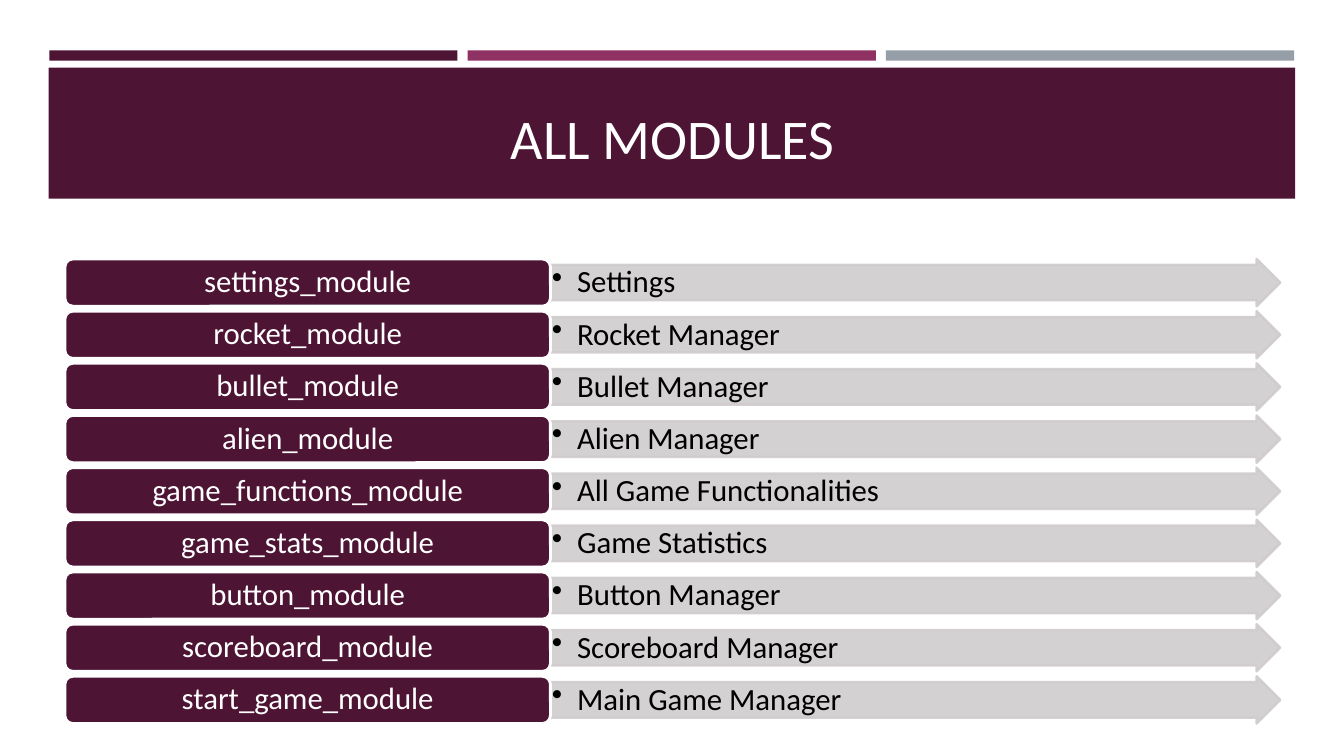
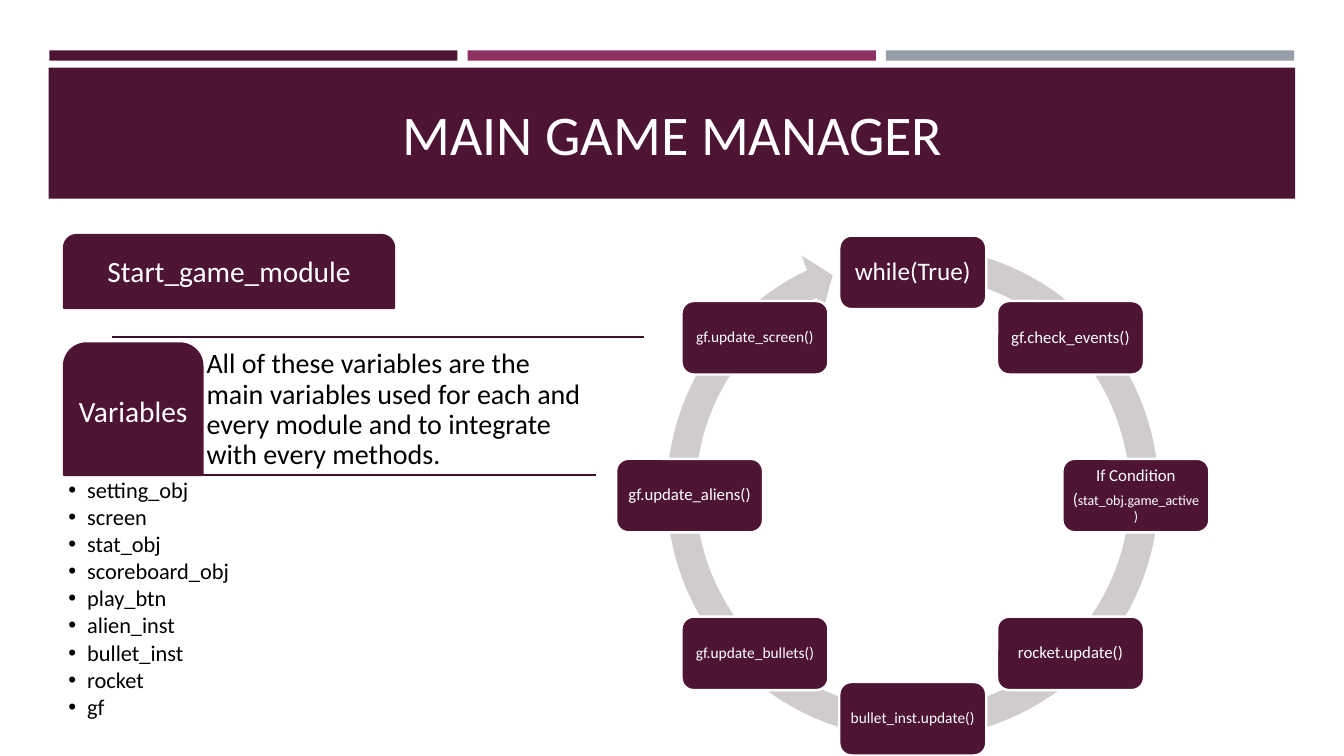
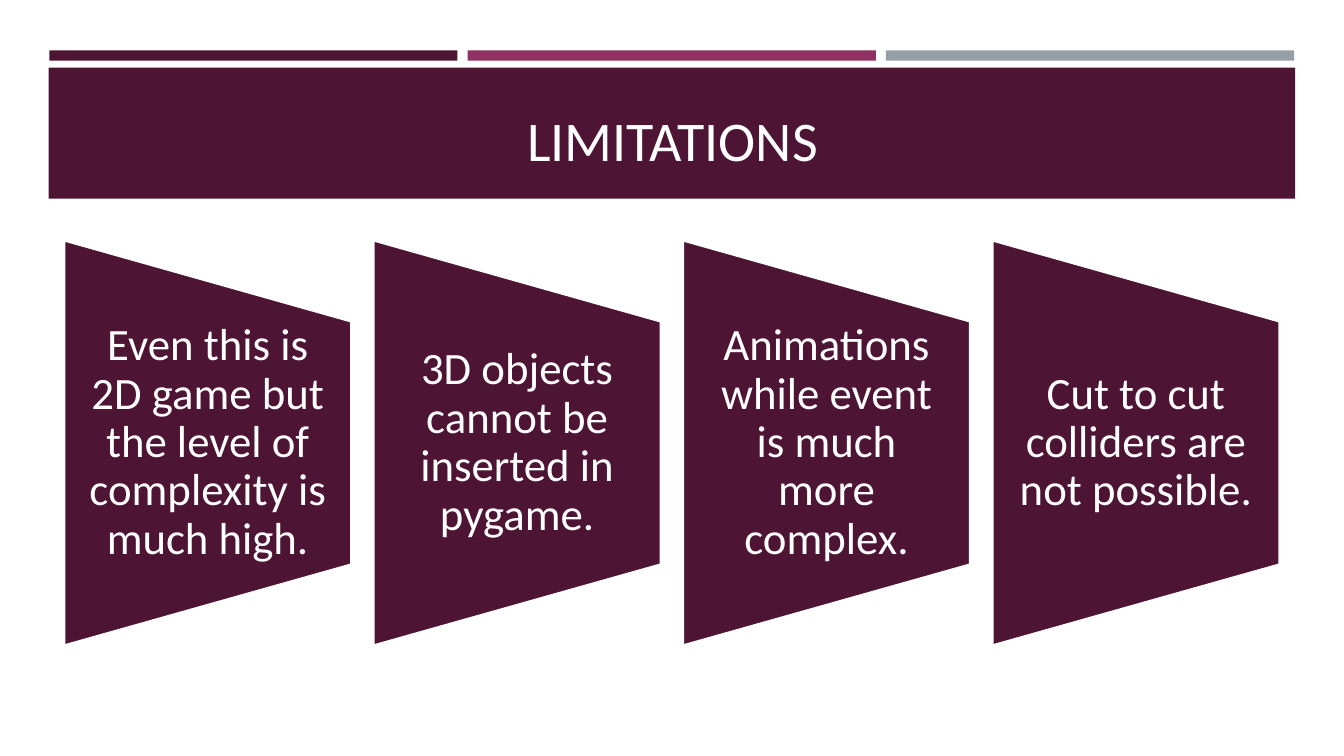
import math
from dataclasses import dataclass

import pptx
import pptx.dml.color
import pptx.enum.shapes
import pptx.enum.text
import pptx.oxml.ns
import pptx.util
from lxml import etree

Pt = pptx.util.Pt
qn = pptx.oxml.ns.qn
SHAPE = pptx.enum.shapes.MSO_SHAPE
ALIGN = pptx.enum.text.PP_ALIGN
ANCHOR = pptx.enum.text.MSO_ANCHOR


@dataclass(frozen=True)
class Theme:
    plum: str = "4D1434"
    magenta: str = "903163"
    slate: str = "969FA7"
    silver: str = "D0CCCE"
    rule: str = "3E102A"
    white: str = "FFFFFF"
    black: str = "000000"
    font: str = "Calibri"
    title: float = 40
    limitation: float = 32
    module: float = 22
    heading: float = 21
    summary: float = 20
    variable: float = 16
    outline: float = 1.75


THEME = Theme()

TITLES = [("ALL MODULES", 60.5), ("MAIN GAME MANAGER", 57.6), ("LIMITATIONS", 61.9)]

MODULES = [
    ("settings_module", "Settings"),
    ("rocket_module", "Rocket Manager"),
    ("bullet_module", "Bullet Manager"),
    ("alien_module", "Alien Manager"),
    ("game_functions_module", "All Game Functionalities"),
    ("game_stats_module", "Game Statistics"),
    ("button_module", "Button Manager"),
    ("scoreboard_module", "Scoreboard Manager"),
    ("start_game_module", "Main Game Manager"),
]

SUMMARY = ("All of these variables are the main variables used for each and every "
           "module and to integrate with every methods.")
VARIABLES = ["setting_obj", "screen", "stat_obj", "scoreboard_obj", "play_btn",
             "alien_inst", "bullet_inst", "rocket", "gf"]
GAME_LOOP = [
    (["while(True)"], 18),
    (["gf.check_events()"], 12),
    (["If Condition", [("(", 12), ("stat_obj.game_active)", 10)]], 12),
    (["rocket.update()"], 12),
    (["bullet_inst.update()"], 11),
    (["gf.update_bullets()"], 11),
    (["gf.update_aliens()"], 12),
    (["gf.update_screen()"], 11),
]
LOOP_ARROW_PERCENTS = [5.54, 330.68, 14654.4, 16871.3, 5.76]

LIMITATIONS = [
    "Even this is 2D game but the level of complexity is much high.",
    "3D objects cannot be inserted in pygame.",
    "Animations while event is much more complex.",
    "Cut to cut colliders are not possible.",
]


def rgb(color):
    return pptx.dml.color.RGBColor.from_string(color)


def points(*lengths):
    return [Pt(length) for length in lengths]


def write(frame, paragraphs, *, size, color=THEME.white, align=ALIGN.CENTER,
          anchor=ANCHOR.MIDDLE, inset=(3.6, 3.6), spacing=0.9, after=0, bullet=0):
    frame.word_wrap = True
    frame.auto_size = pptx.enum.text.MSO_AUTO_SIZE.NONE
    frame.vertical_anchor = anchor
    frame.margin_left = frame.margin_right = Pt(inset[0])
    frame.margin_top = frame.margin_bottom = Pt(inset[1])
    for index, content in enumerate(paragraphs):
        paragraph = frame.add_paragraph() if index else frame.paragraphs[0]
        if bullet:
            properties = paragraph._p.get_or_add_pPr()
            properties.set("marL", str(Pt(bullet)))
            properties.set("indent", str(-Pt(bullet)))
            etree.SubElement(properties, qn("a:buChar")).set("char", "•")
        paragraph.alignment = align
        paragraph.line_spacing = spacing
        paragraph.space_before = Pt(0)
        paragraph.space_after = Pt(after)
        runs = [(content, size)] if isinstance(content, str) else content
        for words, run_size in runs:
            run = paragraph.add_run()
            run.text = words
            run.font.name = THEME.font
            run.font.size = Pt(run_size)
            run.font.color.rgb = rgb(color)


def block(slide, preset, bounds, *, fill=THEME.plum, line=None, width=THEME.outline,
          adjustments=(), opacity=100):
    shape = slide.shapes.add_shape(preset, *points(*bounds))
    shape.shadow.inherit = False
    shape.fill.solid()
    shape.fill.fore_color.rgb = rgb(fill)
    if line:
        shape.line.color.rgb = rgb(line)
        shape.line.width = Pt(width)
    else:
        shape.line.fill.background()
    for index, value in enumerate(adjustments):
        shape.adjustments[index] = value
    if opacity < 100:
        for color in list(shape.element.spPr.iter(qn("a:srgbClr"))):
            etree.SubElement(color, qn("a:alpha")).set("val", str(opacity * 1000))
    return shape


def rule(slide, left, right, y):
    connector = slide.shapes.add_connector(
        pptx.enum.shapes.MSO_CONNECTOR.STRAIGHT, *points(left, y, right, y))
    connector.line.color.rgb = rgb(THEME.rule)
    connector.line.width = Pt(THEME.outline)
    etree.SubElement(connector.element.spPr, qn("a:effectLst"))


def add_master_bands(master, slide):
    bands = [block(slide, SHAPE.RECTANGLE, (35.2 + 298.8 * column, 36, 291.6, 7.4), fill=color)
             for column, color in enumerate([THEME.plum, THEME.magenta, THEME.slate])]
    bands.append(block(slide, SHAPE.RECTANGLE, (34.8, 48.3, 890.4, 93.6)))
    for position, band in enumerate(bands, start=2):
        master.shapes.element.insert(position, band.element)


def place(shape, left, top, width, height):
    shape.left, shape.top, shape.width, shape.height = points(left, top, width, height)


def add_title(slide, words, top):
    place(slide.shapes.title, 46.4, top, 868, 65.5)
    write(slide.shapes.title.text_frame, [words], size=THEME.title, anchor=ANCHOR.BOTTOM)


def add_modules(slide):
    for row, (module, purpose) in enumerate(MODULES):
        top = 185 + 37.26 * row
        arrow = block(slide, SHAPE.RIGHT_ARROW, (393.2, top, 521.3, 33.7), fill=THEME.silver,
                      line=THEME.silver, adjustments=(0.75, 0.5), opacity=90)
        write(arrow.text_frame, [purpose], size=THEME.module, color=THEME.black,
              align=ALIGN.LEFT, anchor=ANCHOR.TOP, inset=(1.1, 1.1), bullet=18)
        name = block(slide, SHAPE.ROUNDED_RECTANGLE, (46.4, top, 346.8, 33.7),
                     line=THEME.white, width=2)
        write(name.text_frame, [module], size=THEME.module, inset=(6.6, 3.3))


def add_game_loop(slide):
    center_x, center_y, radius = 652, 354, 159.4
    width, height = 105, 52.5
    block(slide, SHAPE.CIRCULAR_ARROW, (465.1, 164.9, 373.7, 373.7), fill=THEME.silver,
          adjustments=[percent / 100 for percent in LOOP_ARROW_PERCENTS])
    for index, (lines, size) in enumerate(GAME_LOOP):
        angle = math.tau * index / len(GAME_LOOP)
        left = center_x + radius * math.sin(angle) - width / 2
        top = center_y - radius * math.cos(angle) - height / 2
        step = block(slide, SHAPE.ROUNDED_RECTANGLE, (left, top, width, height),
                     line=THEME.white)
        write(step.text_frame, lines, size=size, after=4.2)


def add_variables(slide):
    rule(slide, 46, 425.5, 339.2)
    rule(slide, 80, 460, 240.6)
    for heading, bounds in [("Start_game_module", (45.8, 168, 235.6, 52)),
                            ("Variables", (45.8, 245.4, 98.7, 93.8))]:
        tab = block(slide, SHAPE.ROUND_2_SAME_RECTANGLE, bounds, line=THEME.plum,
                    adjustments=(0.17, 0))
        write(tab.text_frame, [heading], size=THEME.heading, inset=(3, 3))
    summary = slide.shapes.add_textbox(*points(144.5, 245.4, 281, 93.8))
    write(summary.text_frame, [SUMMARY], size=THEME.summary, color=THEME.black,
          align=ALIGN.LEFT, anchor=ANCHOR.BOTTOM, inset=(3, 3))
    variables = slide.placeholders[1]
    place(variables, 45.8, 339.2, 380, 188)
    write(variables.text_frame, VARIABLES, size=THEME.variable, color=THEME.black,
          align=ALIGN.LEFT, anchor=ANCHOR.TOP, inset=(3, 3), after=2.1, bullet=13.5)


def add_limitations(slide):
    width, height, center_y = 205.2, 289.5, 316.4
    for column, limitation in enumerate(LIMITATIONS):
        left = 45.8 + 221 * column
        panel = block(slide, SHAPE.FLOWCHART_MANUAL_OPERATION,
                      (left + (width - height) / 2, center_y - width / 2, height, width),
                      line=THEME.white)
        panel.rotation = 270
        label = slide.shapes.add_textbox(*points(left, center_y - 86.8, width, 173.6))
        write(label.text_frame, [limitation], size=THEME.limitation, inset=(15.8, 0))


def main():
    deck = pptx.Presentation()
    deck.slide_width, deck.slide_height = points(960, 540)
    title_and_body, title_only = deck.slide_layouts[1], deck.slide_layouts[5]
    layouts = [title_only, title_and_body, title_only]
    slides = [deck.slides.add_slide(layout) for layout in layouts]
    add_master_bands(deck.slide_master, slides[0])
    for slide, (words, top) in zip(slides, TITLES):
        add_title(slide, words, top)
    modules, manager, limits = slides
    add_modules(modules)
    add_game_loop(manager)
    add_variables(manager)
    add_limitations(limits)
    deck.save("out.pptx")


if __name__ == "__main__":
    main()
